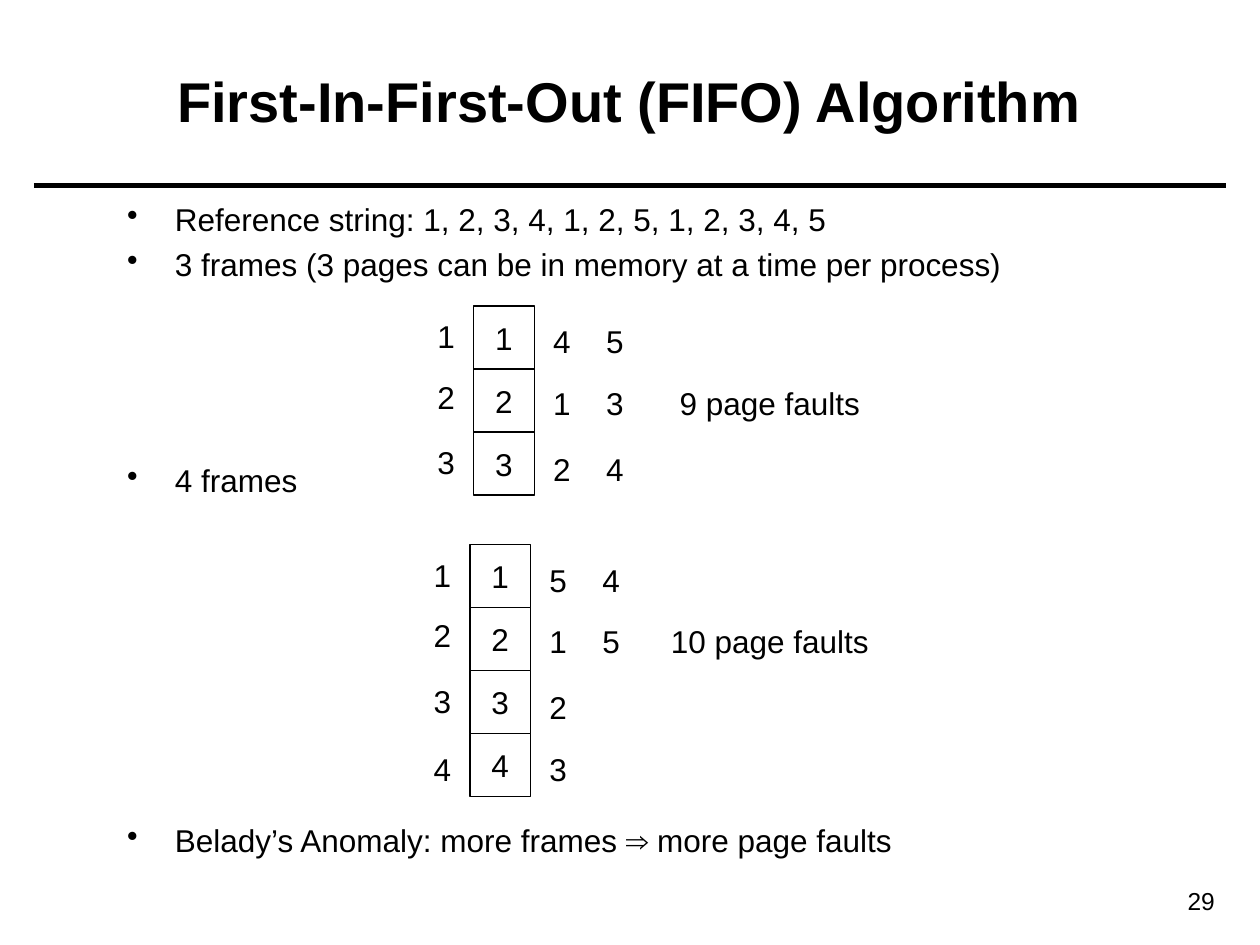
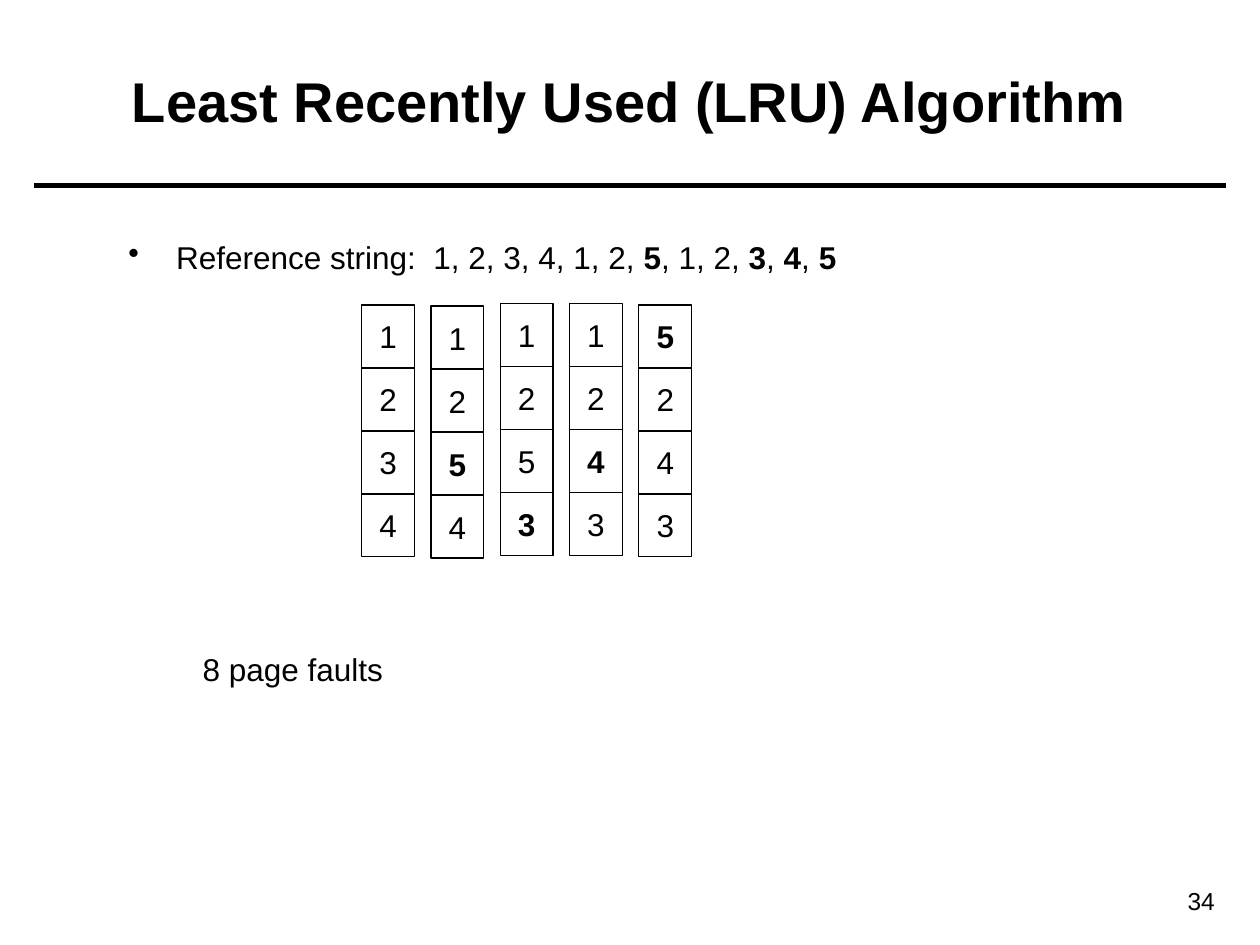
from lxml.etree import SubElement as Sub
from pptx import Presentation
from pptx.dml.color import RGBColor as Rgb
from pptx.enum.shapes import MSO_CONNECTOR as Link, MSO_SHAPE as Kind
from pptx.enum.text import MSO_ANCHOR as Anchor, PP_ALIGN as Align
from pptx.oxml.ns import qn
from pptx.util import Inches, Pt

WIDTH, HEIGHT = 10, 7.5
COL, ROW = WIDTH / 100, HEIGHT / 75
HUES = {"ink": "000000", "page": "FFFFFF"}
FACE = "Arial"
CELL = 5
LEFT = [0.4, 5.2, 10.4, 15.8]
RIGHT = [0.8, 5.7, 10.9, 15.8]


def hue(name):
    return Rgb.from_string(HUES[name])


def place(x, y, wide, high):
    return [Inches(x * COL), Inches(y * ROW), Inches(wide * COL), Inches(high * ROW)]


def style(para, size=18, bold=False, align=Align.CENTER):
    para.alignment = align
    font = para.font
    font.name, font.size, font.bold = FACE, Pt(size), bold
    font.color.rgb = hue("ink")


def label(slide, text, x, y, wide, high=4, wrap=False, anchor=Anchor.MIDDLE, **look):
    frame = slide.shapes.add_textbox(*place(x, y, wide, high)).text_frame
    frame.word_wrap, frame.vertical_anchor = wrap, anchor
    para = frame.paragraphs[0]
    para.text = text
    style(para, **look)


def bullets(slide, x, y, wide, high, items):
    frame = slide.shapes.add_textbox(*place(x, y, wide, high)).text_frame
    frame.word_wrap = True
    for num, (text, gap) in enumerate(items):
        para = frame.add_paragraph() if num else frame.paragraphs[0]
        style(para, align=Align.LEFT)
        para.space_before = Pt(gap)
        props = para._p.get_or_add_pPr()
        props.set("marL", str(Inches(0.38)))
        props.set("indent", str(-Inches(0.38)))
        mark = Sub(props, qn("a:buChar"))
        mark.set("char", "•")
        props.insert_element_before(mark, "a:tabLst", "a:defRPr", "a:extLst")
        for part, words in enumerate(text.split("*")):
            if words:
                run = para.add_run()
                run.text = words
                if part % 2:
                    run.font.bold = True


def stack(slide, x, y, wide, pages, fresh=None):
    for row, page in enumerate(pages):
        box = slide.shapes.add_shape(Kind.RECTANGLE, *place(x, y + row * CELL, wide, CELL))
        box.shadow.inherit = False
        box.fill.solid()
        box.fill.fore_color.rgb = hue("page")
        box.line.color.rgb = hue("ink")
        box.line.width = Pt(0.75)
        frame = box.text_frame
        frame.word_wrap, frame.vertical_anchor = False, Anchor.MIDDLE
        para = frame.paragraphs[0]
        para.text = page
        style(para, bold=row == fresh)


def column(slide, x, y, pages, steps):
    for page, step in zip(pages, steps):
        label(slide, page, x, y + step, 3.4)


def frames(slide, x, y, pages, swaps, faults, wide):
    stack(slide, x, y, 4.8, pages)
    column(slide, x - 3.9, y, pages, LEFT)
    for num, swap in enumerate(swaps):
        column(slide, x + 5.3 + num * 4.2, y, swap, RIGHT)
    label(slide, faults, 61.1 - wide / 2, y + RIGHT[1], wide)


def start(deck, title, number):
    slide = deck.slides.add_slide(deck.slide_layouts[6])
    x, y, wide, _ = place(2.7, 14.7, 94.6, 0)
    rule = slide.shapes.add_connector(Link.STRAIGHT, x, y, x + wide, y)
    rule.line.color.rgb = hue("ink")
    rule.line.width = Pt(3)
    Sub(rule._element.spPr, qn("a:effectLst"))
    label(slide, number, 87, 69.8, 10.4, 3.4, True, Anchor.TOP, size=14, align=Align.RIGHT)
    label(slide, title, 3.5, 1.7, 92.9, 12.5, True, size=32, bold=True)
    return slide


def fifo(deck):
    slide = start(deck, "First-In-First-Out (FIFO) Algorithm", "29")
    bullets(slide, 9.1, 15.4, 88.9, 63, [
        ("Reference string: 1, 2, 3, 4, 1, 2, 5, 1, 2, 3, 4, 5", 0),
        ("3 frames (3 pages can be in memory at a time per process)", 4.2),
        ("4 frames", 101.6),
        ("Belady’s Anomaly: more frames ⇒ more page faults", 184.4),
    ])
    frames(slide, 37.6, 24.3, "123", ["412", "534"], "9 page faults", 16.3)
    frames(slide, 37.3, 43.2, "1234", ["5123", "45"], "10 page faults", 17.7)


def lru(deck):
    slide = start(deck, "Least Recently Used (LRU) Algorithm", "34")
    bullets(slide, 9.2, 18.4, 80.4, 49, [
        ("Reference string:  1, 2, 3, 4, 1, 2, *5*, 1, 2, *3*, *4*, *5*", 0),
    ])
    states = [
        (24.2, "1234", None),
        (24.3, "1254", 2),
        (24.1, "1253", 3),
        (24.1, "1243", 2),
        (24.2, "5243", 0),
    ]
    for num, (top, pages, fresh) in enumerate(states):
        stack(slide, 28.7 + num * 5.5, top, 4.2, pages, fresh)
    label(slide, "8 page faults", 15.1, 51.1, 16.3)


def main():
    deck = Presentation()
    deck.slide_width, deck.slide_height = Inches(WIDTH), Inches(HEIGHT)
    fifo(deck)
    lru(deck)
    deck.save("out.pptx")


if __name__ == "__main__":
    main()
